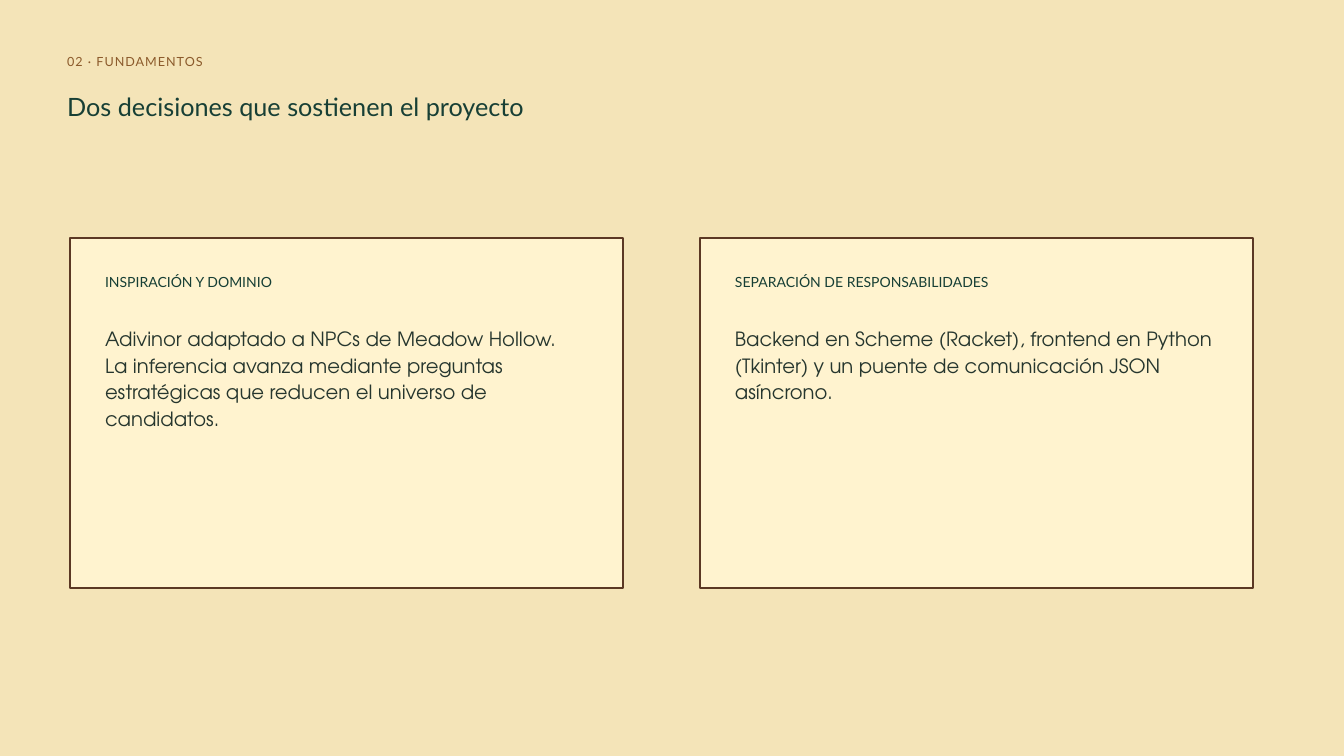
from pptx import Presentation
from pptx.dml.color import RGBColor
from pptx.enum import shapes, text
from pptx import util as u

WIDTH, HEIGHT = u.Inches(20), u.Inches(11.25)
COLUMNS, ROWS = 192, 108
COLORS = {
    "sand": "F4E4B8",
    "cream": "FFF3CF",
    "bark": "5B3824",
    "ochre": "8B5A2B",
    "forest": "173F35",
    "ink": "26362E",
}
STYLES = {
    "section": ("Lato", 13.5, 18.9, "ochre"),
    "title": ("Lato", 27, 32.4, "forest"),
    "heading": ("Lato", 15, 18.8, "forest"),
    "body": ("TeX Gyre Adventor", 21, 28.4, "ink"),
}
CARDS = [
    ("INSPIRACIÓN Y DOMINIO",
     "Adivinor adaptado a NPCs de Meadow Hollow. La inferencia avanza mediante "
     "preguntas estratégicas que reducen el universo de candidatos.", 67, 14.6),
    ("SEPARACIÓN DE RESPONSABILIDADES",
     "Backend en Scheme (Racket), frontend en Python (Tkinter) y un puente de "
     "comunicación JSON asíncrono.", 69, 10.9),
]
CARD_LEFT, CARD_TOP, CARD_STEP = 10, 34, 90
CARD_SIZE = (79, 50)
PADDING = 5


def color(name):
    """Return the palette colour with this name."""
    return RGBColor.from_string(COLORS[name])


def grid(column, row, columns, rows):
    """Turn grid units into left, top, width and height."""
    return (int(WIDTH * column / COLUMNS), int(HEIGHT * row / ROWS),
            int(WIDTH * columns / COLUMNS), int(HEIGHT * rows / ROWS))


def add_text(parent, area, wording, style, tracking=0):
    """Add a borderless paragraph in one of the named styles."""
    face, size, leading, ink = STYLES[style]
    frame = parent.add_textbox(*grid(*area)).text_frame
    frame.margin_left = frame.margin_right = 0
    frame.margin_top = frame.margin_bottom = 0
    frame.word_wrap = True
    frame.auto_size = text.MSO_AUTO_SIZE.SHAPE_TO_FIT_TEXT
    frame.text = wording
    paragraph = frame.paragraphs[0]
    paragraph.line_spacing = u.Pt(leading)
    run = paragraph.runs[0]
    run.font.name = face
    run.font.size = u.Pt(size)
    run.font.color.rgb = color(ink)
    if tracking:
        run._r.get_or_add_rPr().set("spc", str(int(tracking * 100)))


def add_card(slide, left, heading, body, columns, body_rows):
    """Add a framed card with its heading and body as one group."""
    card = slide.shapes.add_group_shape().shapes
    panel = card.add_shape(shapes.MSO_SHAPE.RECTANGLE,
                           *grid(left, CARD_TOP, *CARD_SIZE))
    panel.shadow.inherit = False
    panel.fill.solid()
    panel.fill.fore_color.rgb = color("cream")
    panel.line.color.rgb = color("bark")
    panel.line.width = u.Pt(3)
    inner = left + PADDING
    add_text(card, (inner, CARD_TOP + 4.9, columns, 2.5), heading, "heading")
    add_text(card, (inner, CARD_TOP + 12.3, columns, body_rows), body, "body")


def main():
    """Build the slide and save it."""
    deck = Presentation()
    deck.slide_width, deck.slide_height = WIDTH, HEIGHT
    slide = deck.slides.add_slide(deck.slide_layouts[6])
    slide.background.fill.solid()
    slide.background.fill.fore_color.rgb = color("sand")
    add_text(slide.shapes, (9.6, 7.3, 65, 2.4), "02 · FUNDAMENTOS", "section", 1.1)
    add_text(slide.shapes, (9.6, 13.05, 145, 4.4),
             "Dos decisiones que sostienen el proyecto", "title")
    for index, card in enumerate(CARDS):
        add_card(slide, CARD_LEFT + index * CARD_STEP, *card)
    deck.save("out.pptx")


if __name__ == "__main__":
    main()
